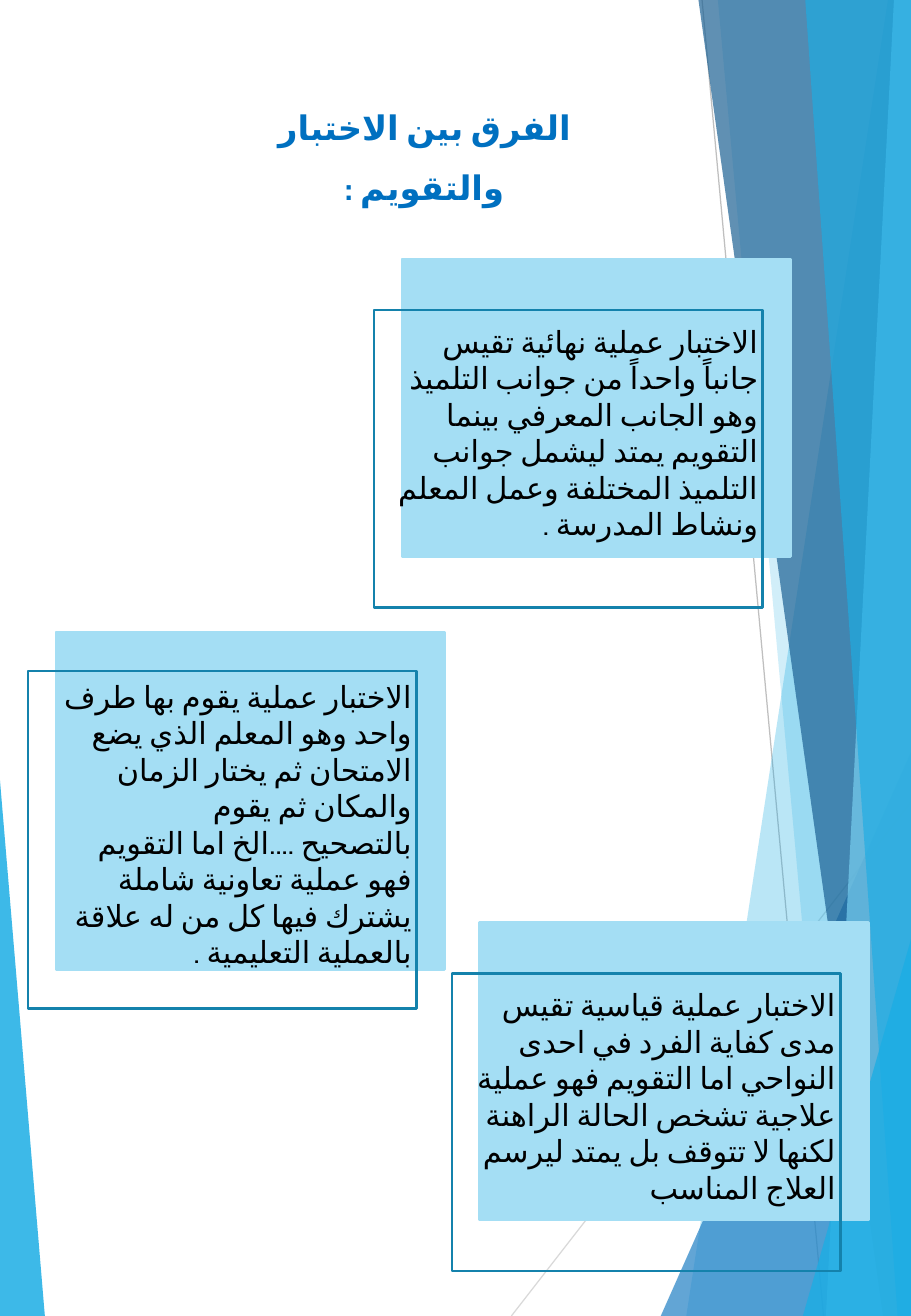
from lxml import etree
from pptx import Presentation
from pptx.dml.color import RGBColor
from pptx.enum.shapes import MSO_CONNECTOR as CONN, MSO_SHAPE as SHAPE
from pptx.enum.text import PP_ALIGN as ALIGN
from pptx.oxml.ns import qn
from pptx.util import Inches, Pt

W, H = 7.5, 10.83
FONT = "Cabin"


def rgb(value):
    return RGBColor.from_string(value)


def add_text(box, text, size, color, align, bold=False, spacing=None):
    s = prs.slides[0].shapes.add_textbox(*[Inches(v) for v in box])
    tf = s.text_frame
    tf.word_wrap = True
    p = tf.paragraphs[0]
    p.alignment = align
    p.line_spacing = spacing
    p._p.get_or_add_pPr().set("rtl", "1")
    r = p.add_run()
    r.text = text
    r.font.name = FONT
    r.font.size = Pt(size)
    r.font.bold = bold
    r.font.color.rgb = rgb(color)
    # Arabic letters take the complex-script font and the Arabic language
    rPr = r._r.get_or_add_rPr()
    rPr.set("lang", "ar-IQ")
    etree.SubElement(rPr, qn("a:cs")).set("typeface", FONT)


prs = Presentation()
prs.slide_width, prs.slide_height = Inches(W), Inches(H)
shapes = prs.slides.add_slide(prs.slide_layouts[6]).shapes

# Backdrop: left wedge, thin lines, then the translucent facets on the right
left_wedge = ([(0, 6.42), (0.37, H), (0, H)], "1CADE4", 85)
thin_lines = [
    ((4.21, H), (W, 6.6), "D9D9D9"),
    ((5.78, 0), (6.78, H), "BFBFBF"),
]
# Top x, bottom x, colour, opacity; each facet reaches the right edge
facets = [
    (7.31, 5.65, "1CADE4", 30),
    (5.91, 6.9, "1CADE4", 20),
    (None, 5.44, "2683C6", 72),
    (5.75, 7.27, "1D6294", 70),
    (7.36, 6.8, "77CEEF", 70),
    (6.63, 7.39, "1CADE4", 65),
    (None, 6.61, "1CADE4", 80),
]
triangle_tops = {5.44: 6.19, 6.61: 7.73}

polygons = [left_wedge]
for top_x, bottom_x, color, opacity in facets:
    if top_x is None:
        points = [(bottom_x, H), (W, triangle_tops[bottom_x]), (W, H)]
    else:
        points = [(top_x, 0), (bottom_x, H), (W, H), (W, 0)]
    polygons.append((points, color, opacity))

for start, end, color in thin_lines:
    s = shapes.add_connector(CONN.STRAIGHT, *[Inches(v) for v in start + end])
    s.line.color.rgb = rgb(color)
    s.line.width = Pt(0.75)
    etree.SubElement(s._element.spPr, qn("a:effectLst"))

for points, color, opacity in polygons:
    corners = [(Inches(x), Inches(y)) for x, y in points]
    fb = shapes.build_freeform(*corners[0])
    fb.add_line_segments(corners[1:], close=True)
    s = fb.convert_to_shape()
    s.shadow.inherit = False
    s.line.fill.background()
    s.fill.solid()
    s.fill.fore_color.rgb = rgb(color)
    clr = s._element.spPr.find(qn("a:solidFill")).find(qn("a:srgbClr"))
    etree.SubElement(clr, qn("a:alpha")).set("val", str(opacity * 1000))

# Title
add_text((1.73, 0.66, 3.53, 1.04), "الفرق بين الاختبار والتقويم :",
         20, "0070C0", ALIGN.CENTER, bold=True, spacing=1.5)

# Cards: filled panel, offset frame, text
CARD_W = 3.2
cards = [
    # left, panel top, frame top, height, text top, text
    (3.31, 2.13, 2.55, 2.45, 2.61,
     "الاختبار عملية نهائية تقيس جانباً واحداً من جوانب التلميذ وهو الجانب "
     "المعرفي بينما التقويم يمتد ليشمل جوانب التلميذ المختلفة وعمل المعلم "
     "ونشاط المدرسة ."),
    (0.46, 5.2, 5.52, 2.78, 5.53,
     "الاختبار عملية يقوم بها طرف واحد وهو المعلم الذي يضع الامتحان ثم يختار "
     "الزمان والمكان ثم يقوم بالتصحيح ....الخ اما التقويم فهو عملية تعاونية "
     "شاملة يشترك فيها كل من له علاقة بالعملية التعليمية ."),
    (3.95, 7.59, 8.01, 2.45, 8.07,
     "الاختبار عملية قياسية تقيس مدى كفاية الفرد في احدى النواحي اما التقويم "
     "فهو عملية علاجية تشخص الحالة الراهنة لكنها لا تتوقف بل يمتد ليرسم "
     "العلاج المناسب"),
]
for left, panel_top, frame_top, height, text_top, text in cards:
    for x, y, fill, line in [(left, panel_top, "A4DEF4", "A4DEF4"),
                             (left - 0.23, frame_top, None, "1482AC")]:
        s = shapes.add_shape(SHAPE.RECTANGLE, Inches(x), Inches(y),
                             Inches(CARD_W), Inches(height))
        s.shadow.inherit = False
        s.line.color.rgb = rgb(line)
        s.line.width = Pt(1.5)
        if fill:
            s.fill.solid()
            s.fill.fore_color.rgb = rgb(fill)
        else:
            s.fill.background()
    add_text((left - 0.17, text_top, CARD_W, height), text,
             18, "000000", ALIGN.RIGHT)

prs.save("out.pptx")
